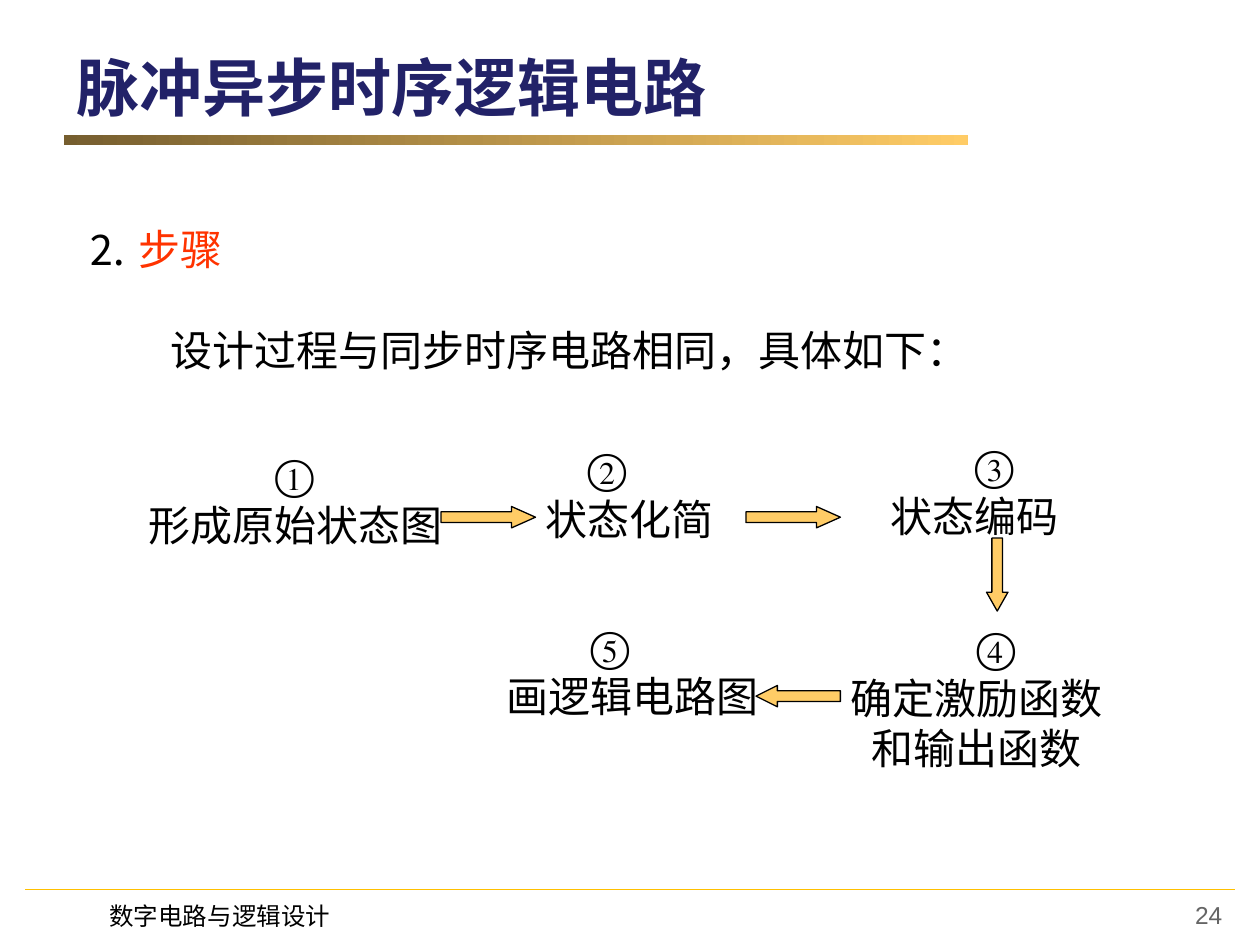
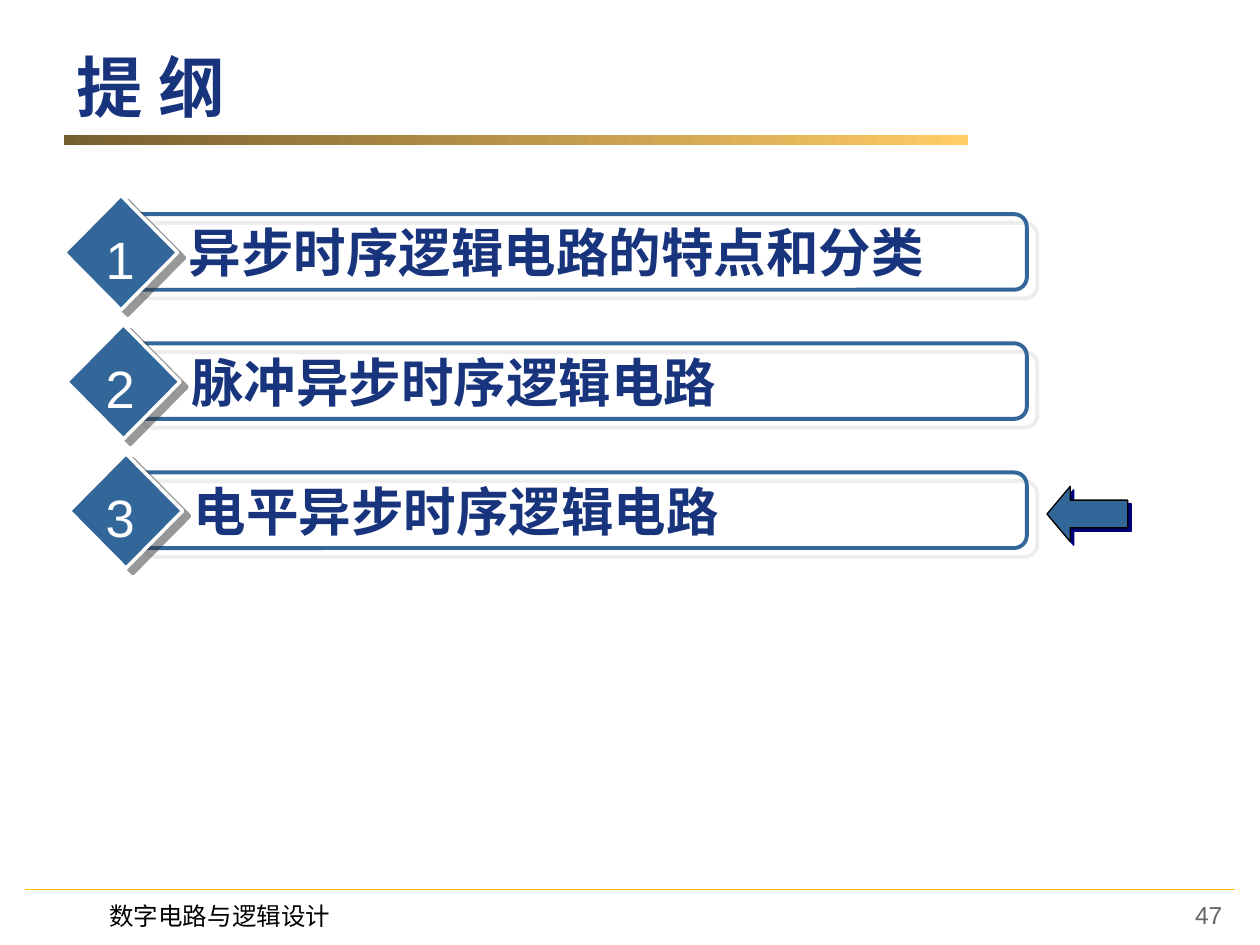
from lxml.etree import SubElement
from pptx import Presentation
from pptx.dml.color import RGBColor
from pptx.enum.shapes import MSO_CONNECTOR, MSO_SHAPE
from pptx.enum.text import MSO_ANCHOR, MSO_AUTO_SIZE, PP_ALIGN
from pptx.oxml.ns import qn
from pptx.util import Inches, Pt

BLACK = RGBColor(0x00, 0x00, 0x00)
WHITE = RGBColor(0xFF, 0xFF, 0xFF)
GREY = RGBColor(0x65, 0x65, 0x65)
INDIGO = RGBColor(0x22, 0x22, 0x68)
NAVY = RGBColor(0x17, 0x34, 0x7D)
BLUE = RGBColor(0x33, 0x66, 0x99)
RED = RGBColor(0xFF, 0x33, 0x00)
GOLD = RGBColor(0xFF, 0xCC, 0x66)
BRONZE = RGBColor(0x76, 0x5E, 0x2F)
AMBER = RGBColor(0xFF, 0xC0, 0x00)
ARROW_SHADE = RGBColor(0x00, 0x00, 0x7D)
FRAME_SHADE = RGBColor(0xDD, 0xDD, 0xDD)
DIAMOND_SHADE = RGBColor(0x33, 0x33, 0x33)

SANS, SERIF, LATIN = "Noto Sans CJK SC", "Times New Roman", "Arial"
COLUMNS, ROWS = 100, 75
TITLE_LAYOUT, LIST_LAYOUT = 5, 1
STEP_SIZE, STEP_PITCH = 24, 29


class Deck:
    def __init__(self):
        self.prs = Presentation()
        self.prs.slide_width, self.prs.slide_height = Inches(10), Inches(7.5)
        self.s = None

    def x(self, columns):
        return round(self.prs.slide_width * columns / COLUMNS)

    def y(self, rows):
        return round(self.prs.slide_height * rows / ROWS)

    def box(self, left, top, width, height):
        return self.x(left), self.y(top), self.x(width), self.y(height)

    def slide(self, layout, title, size, color, number):
        self.s = self.prs.slides.add_slide(self.prs.slide_layouts[layout])
        self.rule(2, 70.6, 98)
        self.band(5.1, 10.7, 71.7, 0.8)
        tf = self.place(self.s.shapes.title, 5.1, 3, 89.8, 7.7, MSO_ANCHOR.MIDDLE)
        self.line(tf, [(title, color)], size, bold=True)
        tf = self.text(74.7, 70.9, 23.3, 4)
        self.line(tf, [(number, GREY)], 14, LATIN, align=PP_ALIGN.RIGHT)
        tf = self.text(7.7, 71, 24, 3.4)
        self.line(tf, [("数字电路与逻辑设计", BLACK)], 14)

    def place(self, sp, left, top, width, height, anchor=MSO_ANCHOR.TOP):
        sp.left, sp.top, sp.width, sp.height = self.box(left, top, width, height)
        tf = sp.text_frame
        tf.word_wrap = True
        tf.auto_size = MSO_AUTO_SIZE.NONE
        tf.vertical_anchor = anchor
        return tf

    def text(self, left, top, width, height, anchor=MSO_ANCHOR.TOP):
        sp = self.s.shapes.add_textbox(*self.box(left, top, width, height))
        return self.place(sp, left, top, width, height, anchor)

    def body(self, left, top, width, height):
        return self.place(self.s.placeholders[1], left, top, width, height)

    def line(self, tf, runs, size, font=SANS, bold=False, align=PP_ALIGN.LEFT,
             indent=0, pitch=None, before=0):
        p = tf.paragraphs[0]
        if p.runs:
            p = tf.add_paragraph()
        pPr = p._p.get_or_add_pPr()
        pPr.set("marL", str(Pt(indent * size)))
        pPr.set("indent", "0")
        SubElement(pPr, qn("a:buNone"))
        p.alignment = align
        p.space_before = Pt(before)
        if pitch:
            p.line_spacing = Pt(pitch)
        for words, color in runs:
            r = p.add_run()
            r.text = words
            r.font.name, r.font.size, r.font.bold = font, Pt(size), bold
            r.font.color.rgb = color
            SubElement(r._r.get_or_add_rPr(), qn("a:ea")).set("typeface", SANS)

    def step(self, left, top, width, *lines):
        tf = self.text(left, top, width, 1 + 4 * len(lines))
        for words, indent in lines:
            self.line(tf, [(words, BLACK)], STEP_SIZE, SERIF, indent=indent,
                      pitch=STEP_PITCH)

    def shape(self, kind, left, top, width, height, fill=None, line=None,
              weight=0.75, adjust=(), shadow=None):
        sp = self.s.shapes.add_shape(kind, *self.box(left, top, width, height))
        for i, value in enumerate(adjust):
            sp.adjustments[i] = value
        if fill is None:
            sp.fill.background()
        else:
            sp.fill.solid()
            sp.fill.fore_color.rgb = fill
        if line is None:
            sp.line.fill.background()
        else:
            sp.line.color.rgb = line
            sp.line.width = Pt(weight)
        sp.shadow.inherit = False
        if shadow:
            self.shade(sp, *shadow)
        return sp

    def shade(self, sp, color, opacity, distance, angle):
        effects = sp._element.spPr.find(qn("a:effectLst"))
        outer = SubElement(effects, qn("a:outerShdw"), blurRad="0",
                           dist=str(Pt(distance)), dir=str(angle * 60000),
                           algn="ctr", rotWithShape="0")
        tone = SubElement(outer, qn("a:srgbClr"), val=str(color))
        SubElement(tone, qn("a:alpha"), val=str(opacity * 1000))

    def band(self, left, top, width, height):
        sp = self.shape(MSO_SHAPE.RECTANGLE, left, top, width, height)
        sp.fill.gradient()
        sp.fill.gradient_angle = 0
        for stop, color, position in zip(sp.fill.gradient_stops, (BRONZE, GOLD), (0, 1)):
            stop.color.rgb = color
            stop.position = position

    def rule(self, left, top, right):
        c = self.s.shapes.add_connector(MSO_CONNECTOR.STRAIGHT, self.x(left),
                                        self.y(top), self.x(right), self.y(top))
        c.line.color.rgb = AMBER
        c.line.width = Pt(0.75)
        SubElement(c._element.spPr, qn("a:effectLst"))

    def arrow(self, kind, left, top, width, height, head):
        self.shape(kind, left, top, width, height, GOLD, BLACK, adjust=(0.5, head))

    def topic(self, index, words):
        shift, drop = 0.2 * index, 10.25 * index
        left = 10.1 + shift
        self.shape(MSO_SHAPE.ROUNDED_RECTANGLE, left, 17 + drop, 81.5 - left, 6,
                   line=BLUE, weight=2.25, shadow=(FRAME_SHADE, 50, 7.8, 40))
        tf = self.text(14 + shift, 17 + drop, 67, 6, MSO_ANCHOR.MIDDLE)
        self.line(tf, [(words, NAVY)], 30, bold=True)
        self.shape(MSO_SHAPE.DIAMOND, 5.1 + shift, 15.5 + drop, 9, 9.1, BLUE, WHITE, 2,
                   shadow=(DIAMOND_SHADE, 50, 5, 37))
        tf = self.text(7.4, 17.5 + drop, 4.7, 6.1)
        self.line(tf, [(str(index + 1), WHITE)], 30, LATIN)


def design_steps(deck):
    deck.slide(LIST_LAYOUT, "脉冲异步时序逻辑电路", 36, INDIGO, "24")
    tf = deck.body(5.9, 17.2, 86.9, 12.7)
    deck.line(tf, [("⒉ ", BLACK), ("步骤", RED)], STEP_SIZE, SERIF, pitch=STEP_PITCH)
    deck.line(tf, [("设计过程与同步时序电路相同，具体如下：", BLACK)], STEP_SIZE, SERIF,
              indent=2, pitch=STEP_PITCH, before=STEP_PITCH)

    deck.step(10, 35.1, 27, ("①", 3.25), ("形成原始状态图", 0.25))
    deck.step(42.3, 34.6, 16, ("②", 1), ("状态化简", 0))
    deck.step(69.7, 34.4, 16, ("③", 2), ("状态编码", 0))
    deck.step(39.2, 48.7, 23, ("⑤", 2), ("画逻辑电路图", 0))
    deck.step(66.5, 48.8, 23.5, ("④", 3), ("确定激励函数", 0), ("和输出函数", 0.5))

    for left in (35, 59.2):
        deck.arrow(MSO_SHAPE.RIGHT_ARROW, left, 40.2, 7.5, 1.7, 1.12)
    deck.arrow(MSO_SHAPE.DOWN_ARROW, 78.3, 42.7, 1.7, 5.8, 0.88)
    deck.arrow(MSO_SHAPE.LEFT_ARROW, 60, 54.4, 6.7, 1.7, 1)


def outline(deck):
    deck.slide(TITLE_LAYOUT, "提 纲", 38, NAVY, "47")
    topics = ("异步时序逻辑电路的特点和分类", "脉冲异步时序逻辑电路", "电平异步时序逻辑电路")
    for index, words in enumerate(topics):
        deck.topic(index, words)
    deck.shape(MSO_SHAPE.LEFT_ARROW, 83.1, 38.6, 6.4, 4.4, BLUE, BLACK,
               adjust=(0.5, 0.42), shadow=(ARROW_SHADE, 100, 2.8, 45))


def main():
    deck = Deck()
    design_steps(deck)
    outline(deck)
    deck.prs.save("out.pptx")


if __name__ == "__main__":
    main()
